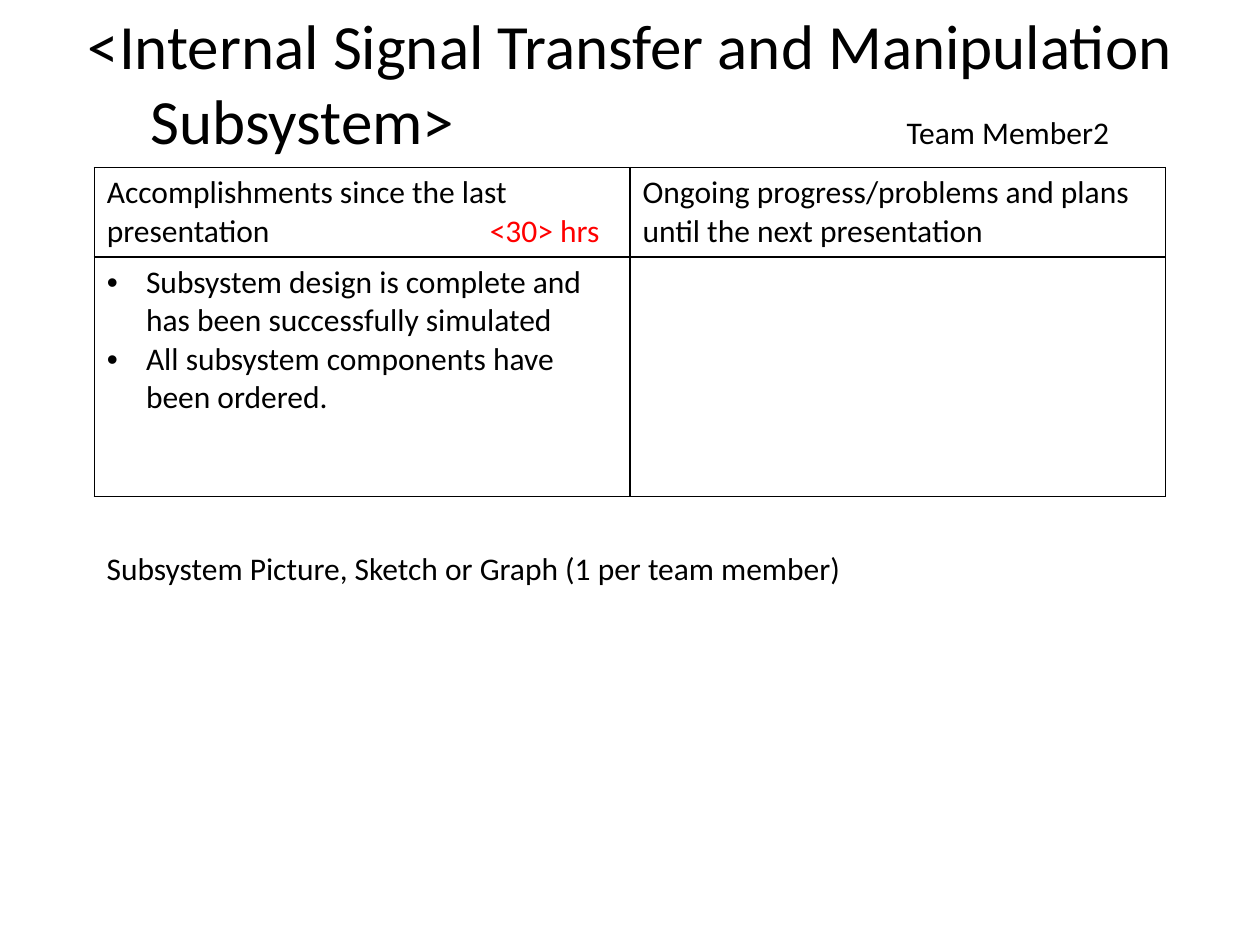
from lxml import etree
from pptx import Presentation
from pptx import util as u
from pptx.dml.color import RGBColor
from pptx.enum import text
from pptx.oxml import ns

FONT = "Calibri"
COLORS = {"text": "000000", "hours": "FF0000", "border": "000000", "cell": "FFFFFF"}
HEADINGS = [
    [("Accomplishments since the last presentation\t", "text"), ("<30> hrs", "hours")],
    [("Ongoing progress/problems and plans until the next presentation", "text")],
]
ACCOMPLISHMENTS = [
    "Subsystem design is complete and has been successfully simulated",
    "All subsystem components have been ordered.",
]


def rgb(name):
    """Return the named colour."""
    return RGBColor.from_string(COLORS[name])


def add_xml(parent, tag, **attrs):
    """Append a DrawingML element and return it."""
    return etree.SubElement(parent, ns.qn(tag), attrs)


def add_tab_stop(p, pos):
    """Give a paragraph one left tab stop."""
    tabs = add_xml(p._p.get_or_add_pPr(), "a:tabLst")
    add_xml(tabs, "a:tab", pos=str(pos), algn="l")


def add_bullet(p, indent):
    """Give a paragraph a hanging round bullet."""
    pPr = p._p.get_or_add_pPr()
    pPr.set("marL", str(indent))
    pPr.set("indent", str(-indent))
    add_xml(pPr, "a:buFont", typeface="Arial")
    add_xml(pPr, "a:buChar", char="•")


def style(font, size=18, color="text"):
    """Set the face, size and colour of a font."""
    font.name, font.size = FONT, u.Pt(size)
    font.color.rgb = rgb(color)


def add_run(p, words, size=18, color="text"):
    """Add a styled run to a paragraph."""
    r = p.add_run()
    r.text = words
    style(r.font, size, color)


def add_text_box(s, box):
    """Add a wrapping text box and return its first paragraph."""
    tf = s.shapes.add_textbox(*box).text_frame
    tf.word_wrap = True
    tf.auto_size = text.MSO_AUTO_SIZE.SHAPE_TO_FIT_TEXT
    return tf.paragraphs[0]


def format_cell(cell):
    """Fill a cell and draw its four borders."""
    tcPr = cell._tc.get_or_add_tcPr()
    for side in "LRTB":
        ln = add_xml(tcPr, "a:ln" + side, w=str(u.Pt(1)))
        fill = add_xml(ln, "a:solidFill")
        add_xml(fill, "a:srgbClr", val=COLORS["border"])
    cell.fill.solid()
    cell.fill.fore_color.rgb = rgb("cell")


def add_title(s, box):
    """Place the subsystem title and the team member."""
    p = add_text_box(s, box)
    p.alignment = text.PP_ALIGN.CENTER
    add_tab_stop(p, u.Cm(15.24))
    add_run(p, "<Internal Signal Transfer and Manipulation Subsystem>", 36)
    add_run(p, "\tTeam Member2")


def add_status_table(s, box):
    """Place the table of accomplishments and plans."""
    table = s.shapes.add_table(2, 2, *box).table
    table.first_row = table.horz_banding = False
    table.rows[0].height = u.Cm(1.78)
    table.rows[1].height = box[3] - u.Cm(1.78)
    for cell in table.iter_cells():
        format_cell(cell)
    for cell, runs in zip(table.rows[0].cells, HEADINGS):
        p = cell.text_frame.paragraphs[0]
        add_tab_stop(p, u.Cm(7.72))
        for words, color in runs:
            add_run(p, words, color=color)
    tf = table.cell(1, 0).text_frame
    tf.text = "\n".join(ACCOMPLISHMENTS)
    for p in tf.paragraphs:
        add_bullet(p, u.Cm(0.79))
        style(p.font)


def add_picture_note(s, box):
    """Place the line that asks for a subsystem illustration."""
    p = add_text_box(s, box)
    p.text = "Subsystem Picture, Sketch or Graph (1 per team member)"
    style(p.font)


def main():
    """Build the status slide."""
    prs = Presentation()
    prs.slide_width, prs.slide_height = u.Cm(25.4), u.Cm(19.05)
    s = prs.slides.add_slide(prs.slide_layouts[6])
    left, width = u.Cm(1.9), u.Cm(21.6)
    add_status_table(s, (left, u.Cm(3.38), width, u.Cm(6.6)))
    add_picture_note(s, (left, u.Cm(10.95), width, u.Cm(6.4)))
    add_title(s, (u.Cm(1.06), 0, u.Cm(23.28), u.Cm(3.33)))
    prs.save("out.pptx")


if __name__ == "__main__":
    main()
